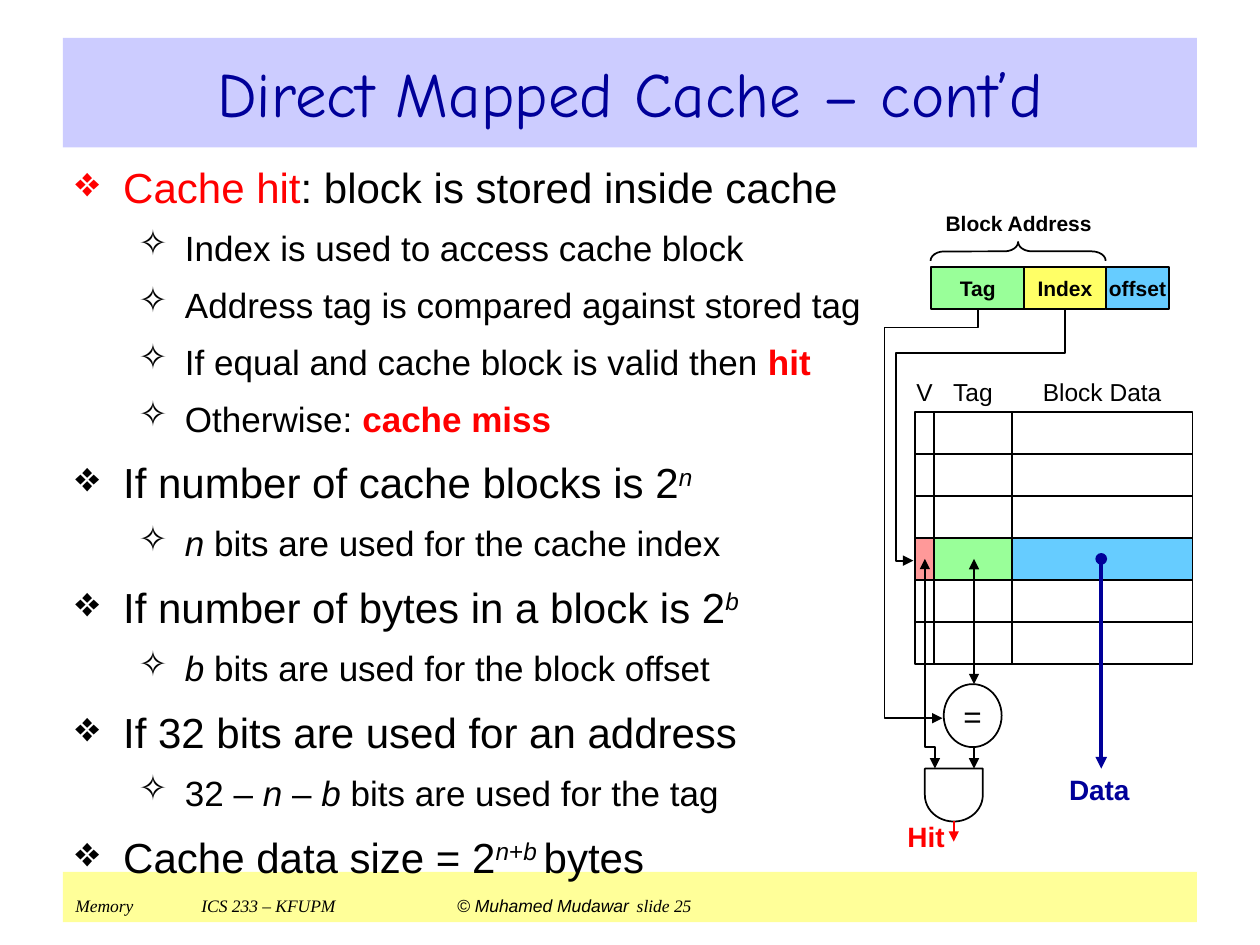
from lxml.etree import SubElement
from pptx import Presentation
from pptx.dml.color import RGBColor
from pptx.enum.shapes import MSO_CONNECTOR as CONNECTOR, MSO_SHAPE as PRESET
from pptx.enum.text import MSO_ANCHOR as ANCHOR, PP_ALIGN as ALIGN
from pptx.oxml.ns import qn
from pptx.util import Inches, Pt

BLACK = RGBColor(0x00, 0x00, 0x00)
WHITE = RGBColor(0xFF, 0xFF, 0xFF)
RED = RGBColor(0xFF, 0x00, 0x00)
NAVY = RGBColor(0x00, 0x00, 0x99)
LAVENDER = RGBColor(0xCC, 0xCC, 0xFF)
CREAM = RGBColor(0xFF, 0xFF, 0x99)
YELLOW = RGBColor(0xFF, 0xFF, 0x66)
GREEN = RGBColor(0x99, 0xFF, 0x99)
BLUE = RGBColor(0x66, 0xCC, 0xFF)
PINK = RGBColor(0xFF, 0x99, 0x99)

presentation = Presentation()
presentation.slide_width, presentation.slide_height = Inches(10), Inches(7.5)
slide = presentation.slides.add_slide(presentation.slide_layouts[6])
shapes = slide.shapes

# Page grid: 100 columns by 75 rows
COLUMN = presentation.slide_width // 100
ROW = presentation.slide_height // 75


def write_text(paragraph, text, size=12, color=BLACK, bold=False, italic=False,
               font="Arial", raised=False):
    run = paragraph.add_run()
    run.text = text
    run.font.size, run.font.name = Pt(size), font
    run.font.bold, run.font.italic = bold, italic
    run.font.color.rgb = color
    if raised:
        run.font._element.set("baseline", "30000")


def draw_line(*points, color=BLACK, width=1, head=None, tail=None):
    points = [(round(x * COLUMN), round(y * ROW)) for x, y in points]
    if len(points) == 2:
        shape = shapes.add_connector(CONNECTOR.STRAIGHT, *points[0], *points[1])
    else:
        builder = shapes.build_freeform(*points[0])
        builder.add_line_segments(points[1:], close=False)
        shape = builder.convert_to_shape()
        shape.fill.background()
    shape.line.color.rgb, shape.line.width = color, Pt(width)
    properties = shape._element.spPr
    outline = properties.find(qn("a:ln"))
    for end, kind in (("a:headEnd", head), ("a:tailEnd", tail)):
        if kind:
            SubElement(outline, qn(end), type=kind)
    SubElement(properties, qn("a:effectLst"))


# Cache table grid
TABLE_LEFT, TAG_LEFT, DATA_LEFT, TABLE_RIGHT = 72.6, 74.15, 80.3, 94.65
TABLE_TOP, TABLE_ROWS, ROW_STEP = 32.7, 6, 3.33
TABLE_BOTTOM = TABLE_TOP + TABLE_ROWS * ROW_STEP
HIT_TOP = TABLE_TOP + 3 * ROW_STEP
HIT_MIDDLE = HIT_TOP + ROW_STEP / 2
VALID_X, TAG_X, DATA_X = 73.4, 77.3, 87.4
columns = [(TABLE_LEFT, TAG_LEFT, "V", PINK), (TAG_LEFT, DATA_LEFT, "Tag", GREEN),
           (DATA_LEFT, TABLE_RIGHT, "Block Data", BLUE)]

# Filled parts and labels: preset, (left, top, width, height), fill, outlined, text, format
parts = [
    (PRESET.RECTANGLE, (5, 3, 90, 8.7), LAVENDER, False, "Direct Mapped Cache – cont’d",
     dict(size=36, color=NAVY, font="Comic Neue")),
    (PRESET.RECTANGLE, (5, 69.2, 90, 4), CREAM, False, "", {}),
    (PRESET.RECTANGLE, (TABLE_LEFT, TABLE_TOP, TABLE_RIGHT - TABLE_LEFT,
                        TABLE_BOTTOM - TABLE_TOP), WHITE, True, "", {}),
    (PRESET.OVAL, (74.9, 54.3, 4.6, 5), WHITE, True, "=", dict(size=18)),
    (None, (71.2, 64.7, 4.6, 3.3), None, False, "Hit", dict(size=16, color=RED, bold=True)),
    (None, (84.6, 61, 5.3, 3.3), None, False, "Data", dict(size=16, color=NAVY, bold=True)),
    (None, (73.9, 16.7, 13.9, 2), None, False, "Block Address", dict(bold=True)),
]
for left, right, name, fill in columns:
    parts += [(None, (left, 29, right - left, 4.2), None, False, name, dict(size=14)),
              (PRESET.RECTANGLE, (left, HIT_TOP, right - left, ROW_STEP), fill, True, "", {})]
for left, right, name, fill in [(73.9, 81.3, "Tag", GREEN), (81.3, 87.75, "Index", YELLOW),
                                (87.75, 92.8, "offset", BLUE)]:
    parts.append((PRESET.RECTANGLE, (left, 21.2, right - left, ROW_STEP), fill, True,
                  name, dict(bold=True)))
# The brace and the AND gate stand turned by 90 degrees
parts += [(PRESET.LEFT_BRACE, (80.05, 13, 1.5, 13.9), None, True, "", {}),
          (PRESET.FLOWCHART_DELAY, (73.6, 60.8, 4.2, 4.6), WHITE, True, "", {})]

for preset, (left, top, width, height), fill, outlined, text, style in parts:
    box = [round(v) for v in (left * COLUMN, top * ROW, width * COLUMN, height * ROW)]
    if preset is None:
        shape = shapes.add_textbox(*box)
    else:
        shape = shapes.add_shape(preset, *box)
        shape.shadow.inherit = False
        if fill is None:
            shape.fill.background()
        else:
            shape.fill.solid()
            shape.fill.fore_color.rgb = fill
        if outlined:
            shape.line.color.rgb, shape.line.width = BLACK, Pt(1)
        else:
            shape.line.fill.background()
        if preset in (PRESET.LEFT_BRACE, PRESET.FLOWCHART_DELAY):
            shape.rotation = 90
        if preset == PRESET.LEFT_BRACE:
            shape.adjustments[0] = 0.73
    if text:
        frame = shape.text_frame
        frame.word_wrap, frame.vertical_anchor = True, ANCHOR.MIDDLE
        frame.margin_left = frame.margin_right = frame.margin_top = frame.margin_bottom = 0
        frame.paragraphs[0].alignment = ALIGN.CENTER
        write_text(frame.paragraphs[0], text, **style)

# Table rules
for index in range(1, TABLE_ROWS):
    y = TABLE_TOP + index * ROW_STEP
    draw_line((TABLE_LEFT, y), (TABLE_RIGHT, y))
for x in (TAG_LEFT, DATA_LEFT):
    draw_line((x, TABLE_TOP), (x, TABLE_BOTTOM))

# Signal paths
draw_line((DATA_X, HIT_MIDDLE), (DATA_X, 61), color=NAVY, width=2.25,
          head="oval", tail="triangle")
draw_line((TAG_X, HIT_MIDDLE), (TAG_X, 54.3), head="triangle", tail="triangle")
draw_line((TAG_X, 59.3), (TAG_X, 61), tail="triangle")
draw_line((VALID_X, HIT_MIDDLE), (VALID_X, 59.3), (74.2, 59.3), (74.2, 61),
          head="triangle", tail="triangle")
draw_line((75.7, 65.2), (75.7, 66.8), color=RED, tail="triangle")
draw_line((84.5, 24.5), (84.5, 28), (71.1, 28), (71.1, 44.5), (72.5, 44.5), tail="triangle")
draw_line((77.6, 24.5), (77.6, 26), (70.2, 26), (70.2, 57), (74.8, 57), tail="triangle")

# Bulleted text: level, runs
ITALIC, RAISED = dict(italic=True), dict(raised=True)
POWER = ITALIC | RAISED
HOT = dict(color=RED, bold=True)
points = [
    (0, [("Cache hit", dict(color=RED)), (": block is stored inside cache", {})]),
    (1, [("Index is used to access cache block", {})]),
    (1, [("Address tag is compared against stored tag", {})]),
    (1, [("If equal and cache block is valid then ", {}), ("hit", HOT)]),
    (1, [("Otherwise: ", {}), ("cache miss", HOT)]),
    (0, [("If number of cache blocks is 2", {}), ("n", POWER)]),
    (1, [("n", ITALIC), (" bits are used for the cache index", {})]),
    (0, [("If number of bytes in a block is 2", {}), ("b", POWER)]),
    (1, [("b", ITALIC), (" bits are used for the block offset", {})]),
    (0, [("If 32 bits are used for an address", {})]),
    (1, [("32 – ", {}), ("n", ITALIC), (" – ", {}), ("b", ITALIC),
         (" bits are used for the tag", {})]),
    (0, [("Cache data size = 2", {}), ("n", POWER), ("+", RAISED), ("b ", POWER),
         ("bytes", {})]),
]
# Level format: bullet, text size, space before, text start, hanging indent
levels = [("❖", 24, 10, 3.8, 3.8), ("✧", 20, 8.5, 8.7, 3.7)]
frame = shapes.add_textbox(5 * COLUMN, round(12.3 * ROW), 90 * COLUMN,
                           round(56.3 * ROW)).text_frame
frame.word_wrap = True
for index, (level, runs) in enumerate(points):
    bullet, size, space, start, hang = levels[level]
    paragraph = frame.add_paragraph() if index else frame.paragraphs[0]
    paragraph.level = level
    paragraph.space_before = Pt(space if index else 0)
    properties = paragraph._p.get_or_add_pPr()
    properties.set("marL", str(round(start * COLUMN)))
    properties.set("indent", str(round(-hang * COLUMN)))
    bullet_color = SubElement(properties, qn("a:buClr"))
    SubElement(bullet_color, qn("a:srgbClr"), val=str(BLACK if index else RED))
    SubElement(properties, qn("a:buChar"), char=bullet)
    for text, style in runs:
        write_text(paragraph, text, size=size, **style)

# Footer
frame = shapes.add_textbox(5 * COLUMN, round(69.4 * ROW), 90 * COLUMN, 4 * ROW).text_frame
frame.word_wrap = True
paragraph = frame.paragraphs[0]
tabs = SubElement(paragraph._p.get_or_add_pPr(), qn("a:tabLst"))
for stop in (10, 30.3):
    SubElement(tabs, qn("a:tab"), pos=str(round(stop * COLUMN)), algn="l")
SERIF = dict(size=10, font="Times New Roman", italic=True)
write_text(paragraph, "Memory\tICS 233 – KFUPM\t", **SERIF)
write_text(paragraph, "© Muhamed Mudawar", size=10, italic=True)
write_text(paragraph, " ", size=18, font="Times New Roman")
write_text(paragraph, "slide 25", **SERIF)

presentation.save("out.pptx")
